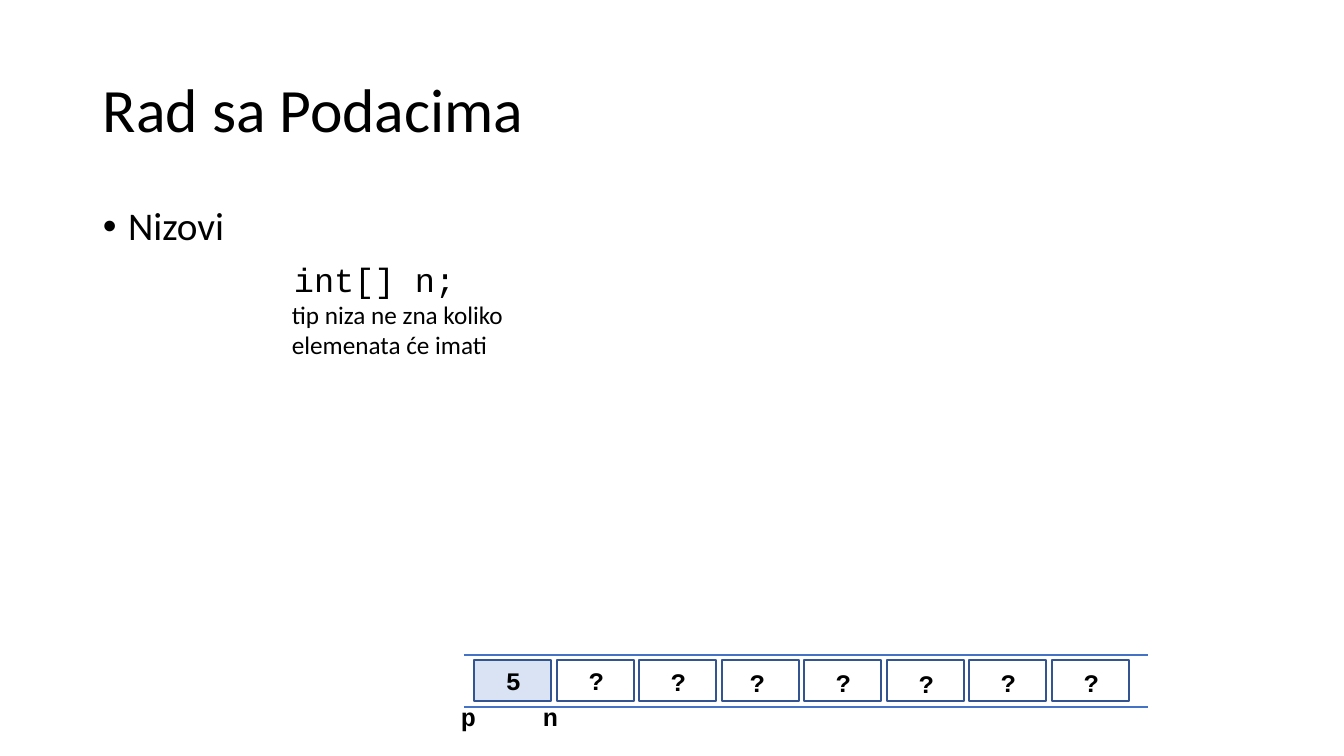
"""Build the slide about arrays with a row of memory cells."""
import pptx
import pptx.util
import pptx.dml.color
import pptx.enum.shapes
import pptx.enum.text
import lxml.etree
import pptx.oxml.ns

COLORS = {"text": "000000", "cell": "FFFFFF", "filled": "DAE3F3",
          "border": "325491", "rail": "4472C4"}
SCALE = 914400 / 100.8


def px(*values):
    return [pptx.util.Emu(round(value * SCALE)) for value in values]


def add_text(text, bounds, size, font="Calibri", bold=False):
    box = page.shapes.add_textbox(*px(*bounds))
    box.text_frame.word_wrap = True
    box.text_frame.text = text
    span = box.text_frame.paragraphs[0].runs[0]
    span.font.name = font
    span.font.size = pptx.util.Pt(size)
    span.font.bold = bold
    span.font.color.rgb = pptx.dml.color.RGBColor.from_string(COLORS["text"])
    return box


deck = pptx.Presentation()
deck.slide_width, deck.slide_height = px(1344, 756)
page = deck.slides.add_slide(deck.slide_layouts[6])

title = add_text("Rad sa Podacima", (93, 40, 1159, 146), 44)
title.text_frame.vertical_anchor = pptx.enum.text.MSO_ANCHOR.MIDDLE
title.text_frame.paragraphs[0].line_spacing = 0.9

body = add_text("Nizovi", (93, 202, 1159, 480), 28)
bullet = body.text_frame.paragraphs[0]
bullet.line_spacing = 0.9
bullet.space_before = pptx.util.Pt(10)
properties = bullet._p.get_or_add_pPr()
properties.set("marL", "228600")
properties.set("indent", "-228600")
bullet_font = lxml.etree.SubElement(properties, pptx.oxml.ns.qn("a:buFont"))
bullet_font.set("typeface", "Arial")
bullet_mark = lxml.etree.SubElement(properties, pptx.oxml.ns.qn("a:buChar"))
bullet_mark.set("char", "•")

for rail_top in (655, 707):
    rail = page.shapes.add_connector(
        pptx.enum.shapes.MSO_CONNECTOR.STRAIGHT, *px(464, rail_top, 1148, rail_top))
    rail.line.color.rgb = pptx.dml.color.RGBColor.from_string(COLORS["rail"])
    rail.line.width = pptx.util.Pt(1)
    lxml.etree.SubElement(rail._element.spPr, pptx.oxml.ns.qn("a:effectLst"))

cells = [("5", 22, 660), ("?", 22, 660), ("?", 22, 661), ("?", 18, 662),
         ("?", 22, 662), ("?", 22, 663), ("?", 22, 662), ("?", 22, 662)]
for index, (value, inset, value_top) in enumerate(cells):
    left = round(474 + index * 578 / 7)
    cell = page.shapes.add_shape(
        pptx.enum.shapes.MSO_SHAPE.RECTANGLE, *px(left, 660, 77, 41))
    cell.shadow.inherit = False
    cell.fill.solid()
    cell.fill.fore_color.rgb = pptx.dml.color.RGBColor.from_string(
        COLORS["cell" if index else "filled"])
    cell.line.color.rgb = pptx.dml.color.RGBColor.from_string(COLORS["border"])
    cell.line.width = pptx.util.Pt(1)
    add_text(value, (left + inset, value_top, 41, 40), 18, "Courier New", True)

for name, left in (("p", 451), ("n", 533)):
    add_text(name, (left, 696, 83, 40), 18, "Courier New", True)

add_text("int[] n;", (284, 254, 464, 50), 24, "Courier New")
add_text("tip niza ne zna koliko elemenata će imati", (282, 294, 296, 72), 18)

deck.save("out.pptx")
